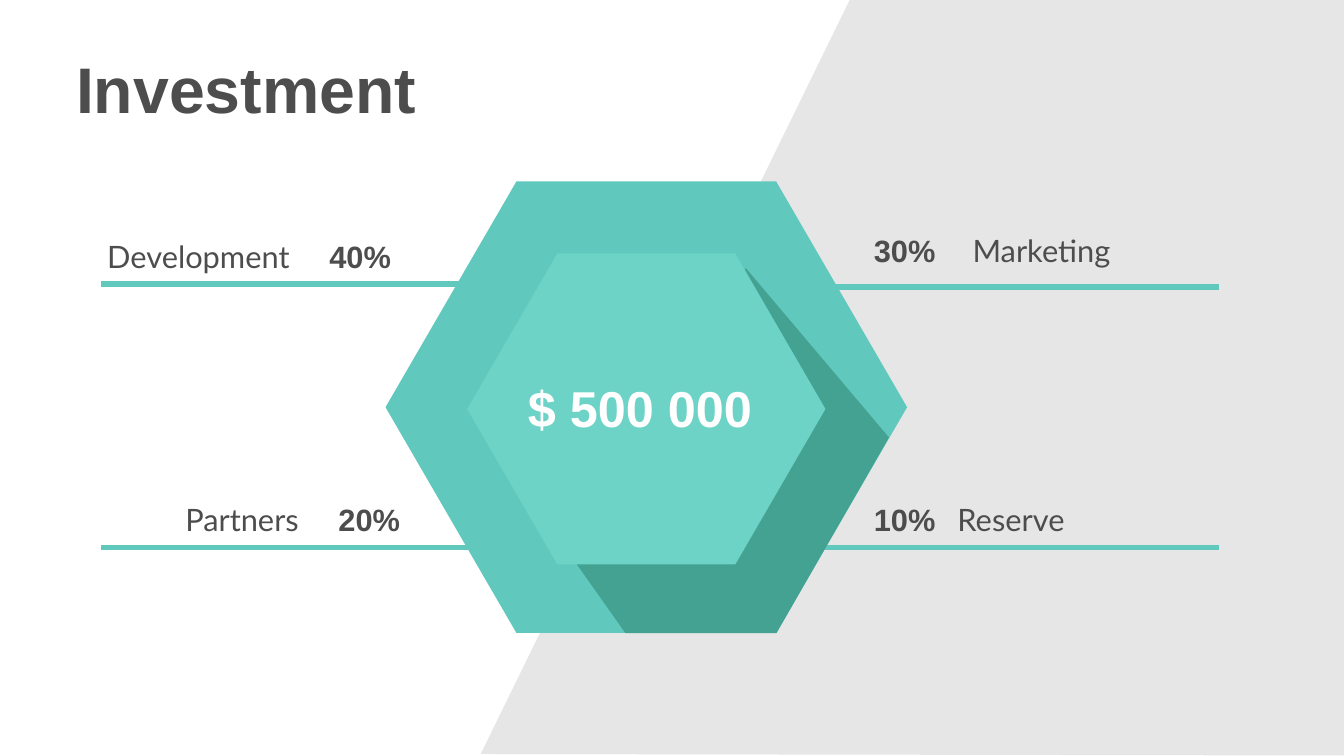
from pptx import Presentation
from pptx.dml.color import RGBColor
from pptx.enum.shapes import MSO_CONNECTOR, MSO_SHAPE
from pptx.enum.text import MSO_ANCHOR, PP_ALIGN
from pptx.oxml.ns import qn
from pptx.util import Pt
from lxml import etree

PX = 9144  # 100 px to the inch
COLORS = {
    "backdrop": "E6E6E6",
    "text": "4D4D4D",
    "rim": "61C8BE",
    "core": "6DD3C7",
    "shade": "44A292",
    "total": "FFFFFF",
}


def paint(shape, color):
    shape.shadow.inherit = False
    shape.fill.solid()
    shape.fill.fore_color.rgb = RGBColor.from_string(COLORS[color])
    shape.line.fill.background()


def style(font, name, size, color, bold):
    font.name = name
    font.size = Pt(size)
    font.bold = bold
    font.color.rgb = RGBColor.from_string(COLORS[color])


prs = Presentation()
prs.slide_width, prs.slide_height = 2667 * PX, 1500 * PX
slide = prs.slides.add_slide(prs.slide_layouts[5])
shapes = slide.shapes

# Title
title = shapes.title
title.left, title.top, title.width, title.height = (v * PX for v in (151, 92, 1632, 165))
frame = title.text_frame
frame.margin_left = frame.margin_right = frame.margin_top = frame.margin_bottom = 0
frame.vertical_anchor = MSO_ANCHOR.MIDDLE
frame.text = "Investment"
frame.paragraphs[0].alignment = PP_ALIGN.LEFT
style(frame.paragraphs[0].font, "Arial", 92, "text", True)

# Slanted backdrop
builder = shapes.build_freeform(1690, -8, scale=PX)
builder.add_line_segments([(2668, -10), (2674, 1499), (954, 1496)])
paint(builder.convert_to_shape(), "backdrop")

# Rules under the labels, running behind the hexagon
for outer, inner, y in [(200, 983, 564), (200, 983, 1086),
                        (2419, 1636, 569), (2419, 1622, 1086)]:
    rule = shapes.add_connector(MSO_CONNECTOR.STRAIGHT,
                                outer * PX, y * PX, inner * PX, y * PX)
    rule.line.width = Pt(8)
    rule.line.color.rgb = RGBColor.from_string(COLORS["rim"])
    etree.SubElement(rule._element.spPr, qn("a:effectLst"))

# Hexagon: rim, cast shade, core
for part, left, top, width, height in [("rim", 765, 360, 1035, 896),
                                       ("core", 927, 503, 711, 617)]:
    hexagon = shapes.add_shape(MSO_SHAPE.HEXAGON, left * PX, top * PX,
                               width * PX, height * PX)
    hexagon.adjustments[0] = 0.29
    paint(hexagon, part)
    if part == "rim":
        builder = shapes.build_freeform(1764, 868, scale=PX)
        builder.add_line_segments([(1541, 1256), (1241, 1256), (1132, 1102), (1480, 532)])
        paint(builder.convert_to_shape(), "shade")

# Text blocks: box, alignment, tab stops, runs as (text, font, size, color, bold)
LABEL = ("Lato", 44, "text", False)
SHARE = ("Arial", 44, "text", True)
TOTAL = ("Arial", 72, "total", True)
blocks = [
    ((200, 462, 600, 93), PP_ALIGN.LEFT, [(369, "r"), (570, "r")],
     [("\tDevelopment", LABEL), ("\t40%", SHARE)]),
    ((53, 987, 748, 85), PP_ALIGN.LEFT, [(534, "r"), (735, "r")],
     [("\tPartners", LABEL), ("\t20%", SHARE)]),
    ((1728, 460, 771, 71), PP_ALIGN.LEFT, [(196, "l")],
     [("30%", SHARE), ("\tMarketing", LABEL)]),
    ((1728, 987, 692, 85), PP_ALIGN.LEFT, [(166, "l")],
     [("10%", SHARE), ("\tReserve", LABEL)]),
    ((1034, 743, 472, 131), PP_ALIGN.CENTER, [], [("$ 500 000", TOTAL)]),
]
for box, alignment, stops, runs in blocks:
    frame = shapes.add_textbox(*(v * PX for v in box)).text_frame
    frame.word_wrap = True
    frame.vertical_anchor = MSO_ANCHOR.MIDDLE
    frame.margin_left = frame.margin_right = frame.margin_top = frame.margin_bottom = 6 * PX
    paragraph = frame.paragraphs[0]
    paragraph.alignment = alignment
    if stops:
        tabs = etree.SubElement(paragraph._p.get_or_add_pPr(), qn("a:tabLst"))
        for position, side in stops:
            etree.SubElement(tabs, qn("a:tab"), pos=str(position * PX), algn=side)
    for text, look in runs:
        run = paragraph.add_run()
        run.text = text
        style(run.font, *look)

prs.save("out.pptx")
